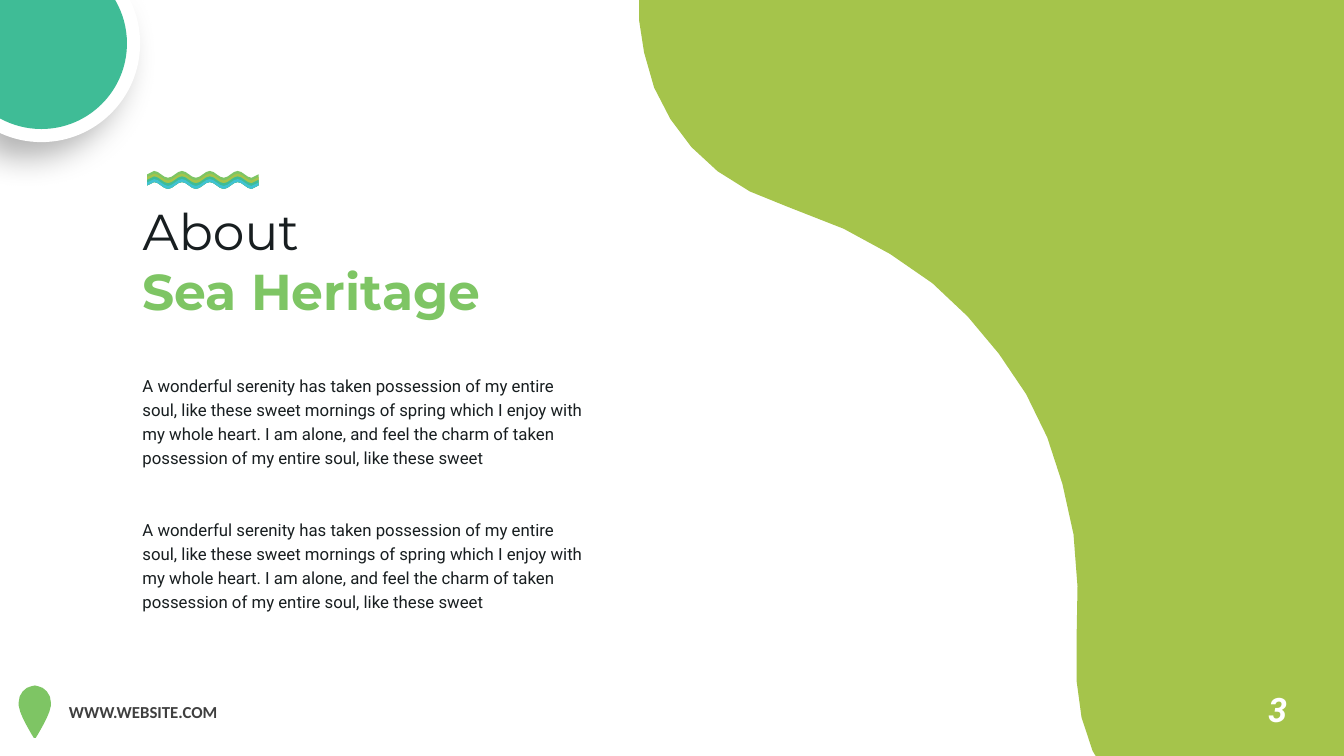
from dataclasses import dataclass
from itertools import pairwise
from math import acos, asin, cos, pi, sin, tan

from lxml.etree import SubElement
from pptx import Presentation
from pptx.dml.color import RGBColor
from pptx.enum.text import MSO_ANCHOR, MSO_AUTO_SIZE, PP_ALIGN
from pptx.oxml.ns import qn
from pptx.util import Inches, Pt

# The grid has square cells of a tenth of an inch.
CELL = Inches(0.1)
COLUMNS, ROWS = 133.33, 75


@dataclass(frozen=True)
class Theme:
    white: str = "FFFFFF"
    black: str = "000000"
    ink: str = "181E20"
    gray: str = "3F3F3F"
    green: str = "7EC564"
    lime: str = "A5C44B"
    teal: str = "3FBC96"
    cyan: str = "40C2D2"
    title_font: str = "Montserrat"
    body_font: str = "Roboto"
    footer_font: str = "Calibri"
    title_size: int = 36
    number_size: int = 24
    body_size: int = 12


def wave_curves(knots):
    """Join crests and troughs by curves that are level at each knot."""
    return [
        [(x0 + 0.36 * (x1 - x0), y0), (x1 - 0.36 * (x1 - x0), y1), (x1, y1)]
        for (x0, y0), (x1, y1) in pairwise(knots)
    ]


class SlideBuilder:
    """Draws on one slide; all lengths are grid columns and rows."""

    def __init__(self, slide, theme):
        self.slide = slide
        self.theme = theme

    def place(self, shape, left, top, width, height):
        shape.left, shape.top = round(left * CELL), round(top * CELL)
        shape.width, shape.height = round(width * CELL), round(height * CELL)

    def outline(self, start, segments, color):
        """Draw a closed outline; a segment is one line end or three curve points."""
        points = [start] + [point for segment in segments for point in segment]
        first, *rest = [(round(x * CELL), round(y * CELL)) for x, y in points]
        builder = self.slide.shapes.build_freeform(*first)
        builder.add_line_segments(rest, close=True)
        shape = builder.convert_to_shape()
        lines = iter(list(shape.element.iter(qn("a:lnTo"))))
        for segment in segments:
            step, *others = [next(lines) for _ in segment]
            if others:
                step.tag = qn("a:cubicBezTo")
            for other in others:
                step.append(other[0])
                other.getparent().remove(other)
        shape.fill.solid()
        shape.fill.fore_color.rgb = RGBColor.from_string(color)
        shape.line.fill.background()
        shape.shadow.inherit = False
        return shape

    def polygon(self, points, color):
        return self.outline(points[0], [[point] for point in points[1:]], color)

    def drop_shadow(self, shape, blur, distance, direction, opacity):
        """Cast a shadow; blur and distance in points, direction in degrees."""
        effects = shape.element.spPr.find(qn("a:effectLst"))
        shadow = SubElement(effects, qn("a:outerShdw"), blurRad=str(Pt(blur)),
                            dist=str(Pt(distance)), dir=str(direction * 60000),
                            algn="ctr", rotWithShape="0")
        color = SubElement(shadow, qn("a:srgbClr"), val=self.theme.black)
        SubElement(color, qn("a:alpha"), val=str(opacity * 1000))

    def corner_disc(self, center_x, center_y, radius, color):
        """Draw a disc cut off by the left and top edges of the slide."""
        def on_circle(angle, reach=0.0):
            return (center_x + radius * (cos(angle) - reach * sin(angle)),
                    center_y + radius * (sin(angle) + reach * cos(angle)))

        angles = [acos(-center_x / radius), pi / 2, 0, -asin(center_y / radius)]
        segments = [[on_circle(angles[0])]]
        for begin, end in pairwise(angles):
            reach = 4 / 3 * tan((end - begin) / 4)
            segments.append([on_circle(begin, reach), on_circle(end, -reach), on_circle(end)])
        return self.outline((0, 0), segments, color)

    def wave(self, left, right, top, bottom, waves, height, color):
        """Draw a ribbon between two parallel wavy edges."""
        half = (right - left) / (2 * waves)
        turns = [(left + half * (i + 0.5), (-1) ** (i + 1) * height) for i in range(2 * waves)]
        knots = [(left, 0), *turns, (right, 0)]
        upper = [(x, top + rise) for x, rise in knots]
        lower = [(x, bottom + rise) for x, rise in reversed(knots)]
        segments = [*wave_curves(upper), [lower[0]], *wave_curves(lower)]
        return self.outline(upper[0], segments, color)

    def pin(self, center, half, color):
        """Draw a map pin from its right half, given as (offset, row) pairs."""
        right = [(center + offset, y) for offset, y in half]
        left = [(center - offset, y) for offset, y in half[-2:0:-1]]
        return self.polygon(right + left, color)

    def format(self, paragraph, font_name, size, color, bold=False, italic=False):
        for run in paragraph.runs:
            font = run.font
            font.name, font.size = font_name, Pt(size)
            font.bold, font.italic = bold, italic
            font.color.rgb = RGBColor.from_string(color)

    def text(self, content, box, font_name, size, color, wrap=True,
             line_spacing=1.0, **emphasis):
        shape = self.slide.shapes.add_textbox(0, 0, 0, 0)
        self.place(shape, *box)
        frame = shape.text_frame
        frame.text = content
        frame.word_wrap = wrap
        frame.auto_size = MSO_AUTO_SIZE.SHAPE_TO_FIT_TEXT
        paragraph = frame.paragraphs[0]
        paragraph.line_spacing = line_spacing
        self.format(paragraph, font_name, size, color, **emphasis)

    def title(self, first_line, second_line, box):
        shape = self.slide.shapes.title
        self.place(shape, *box)
        frame = shape.text_frame
        frame.text = f"{first_line}\n{second_line}"
        frame.word_wrap = True
        frame.auto_size = MSO_AUTO_SIZE.SHAPE_TO_FIT_TEXT
        frame.vertical_anchor = MSO_ANCHOR.TOP
        styles = [(self.theme.ink, False), (self.theme.green, True)]
        for paragraph, (color, bold) in zip(frame.paragraphs, styles):
            paragraph.alignment = PP_ALIGN.LEFT
            self.format(paragraph, self.theme.title_font, self.theme.title_size, color, bold)


SHORE = [
    (63.4, 0), (63.4, 2), (63.9, 5.2), (64.9, 8.7), (66.5, 11.8), (68.6, 14.6),
    (71.2, 17), (74.4, 19), (78.1, 20.5), (83.7, 22.7), (88.3, 25.2), (92.5, 28.1),
    (96, 31.4), (99.1, 35.1), (101.8, 39.1), (103.9, 43.4), (105.4, 48), (106.5, 53),
    (106.9, 58.2), (106.8, 63.7), (106.8, 67.5), (107.3, 71.2), (108.4, 74.5), (108.7, ROWS),
]
PIN_HALF = [
    (0, 68), (0.4, 68.1), (0.8, 68.25), (1.2, 68.6), (1.5, 69.1), (1.6, 69.7),
    (1.6, 70), (1.45, 70.6), (1.2, 71.2), (0.9, 71.8), (0.4, 72.7), (0.1, 73.2), (0, 73.2),
]
BODY = (
    "A wonderful serenity has taken possession of my entire soul, like these sweet "
    "mornings of spring which I enjoy with my whole heart. I am alone, and feel the "
    "charm of taken possession of my entire soul, like these sweet"
)


def main():
    theme = Theme()
    presentation = Presentation()
    presentation.slide_width = round(COLUMNS * CELL)
    presentation.slide_height = ROWS * CELL
    slide = presentation.slides.add_slide(presentation.slide_layouts.get_by_name("Title Only"))
    builder = SlideBuilder(slide, theme)

    builder.polygon([*SHORE, (COLUMNS, ROWS), (COLUMNS, 0)], theme.lime)
    builder.text("3", (124.85, 67.9, 4, 5), theme.body_font, theme.number_size,
                 theme.white, wrap=False, bold=True, italic=True)
    builder.pin(3.45, PIN_HALF, theme.green)
    builder.text("WWW.WEBSITE.COM", (5.85, 69.1, 25.3, 3), theme.footer_font,
                 theme.body_size, theme.gray, bold=True)

    ring = builder.corner_disc(4.1, 4.3, 9.8, theme.white)
    builder.drop_shadow(ring, blur=23, distance=15, direction=135, opacity=29)
    builder.corner_disc(4.1, 4.3, 8.5, theme.teal)

    builder.title("About", "Sea Heritage", (13.15, 19.35, 37.7, 13.1))
    for index, color in enumerate([theme.green, theme.lime, theme.teal, theme.cyan]):
        builder.wave(14.6, 25.65, 17.3 + 0.27 * index, 18.4, 4, 0.34, color)

    for top in (36.35, 50.65):
        builder.text(BODY, (13.15, top, 46.3, 10.5), theme.body_font,
                     theme.body_size, theme.ink, line_spacing=1.2)

    presentation.save("out.pptx")


if __name__ == "__main__":
    main()
